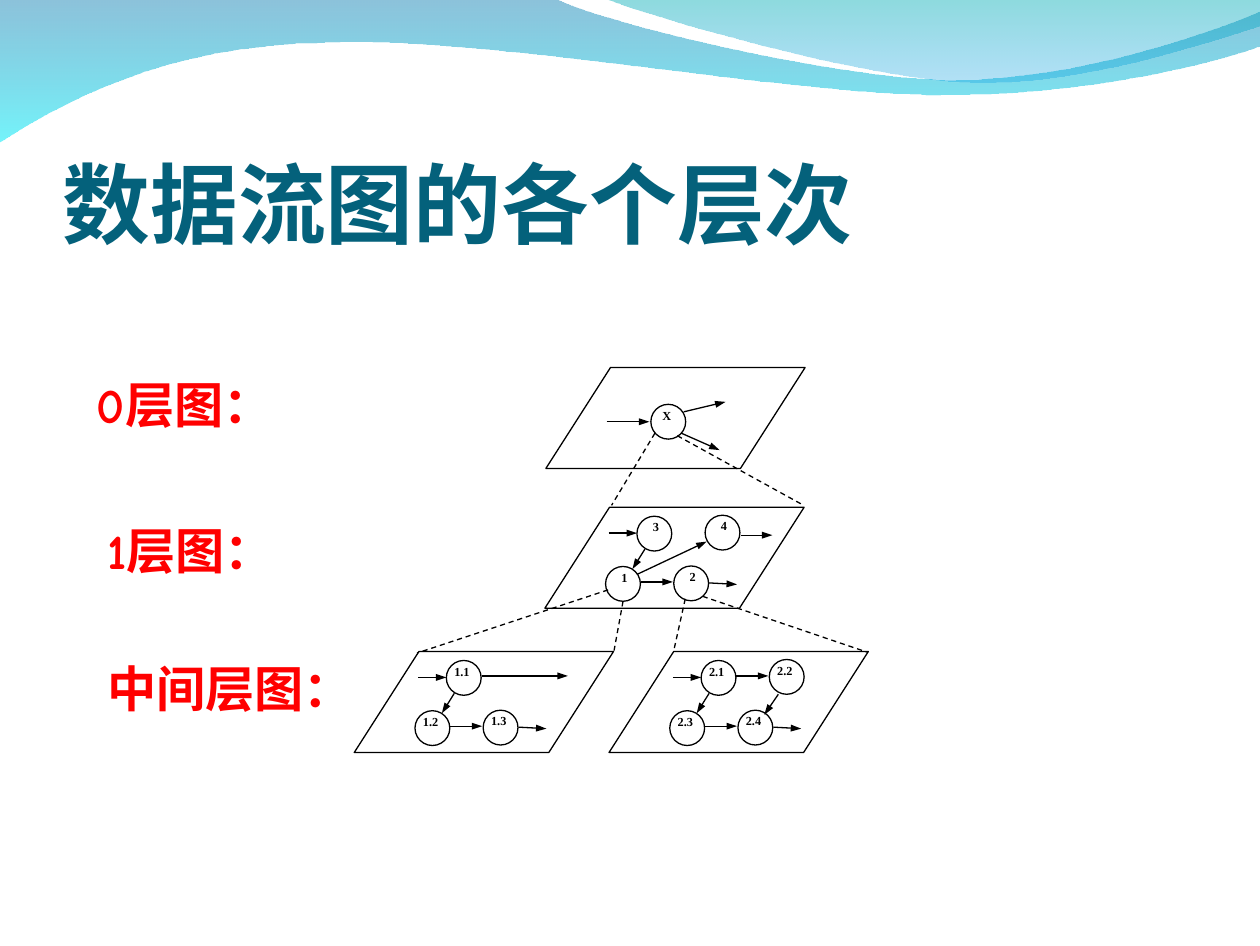
from lxml.etree import SubElement
from pptx import Presentation
from pptx.dml.color import RGBColor
from pptx.enum.dml import MSO_LINE
from pptx.enum.shapes import MSO_CONNECTOR, MSO_SHAPE
from pptx.enum.text import MSO_ANCHOR as Anchor, PP_ALIGN as Align
from pptx.oxml.ns import qn
from pptx.util import Cm, Pt

# All lengths are in centimetres.
SLIDE_SIZE = (25.32, 19.02)
CJK_FONT = "Noto Sans CJK SC"
TITLE = ("数据流图的各个层次", (1.26, 1.95, 22.81, 3.18))
LEVELS = [("0层图：", 1.7, 7.39), ("1层图：", 1.91, 10.34), ("中间层图：", 1.91, 13.11)]
LEVEL_SIZE = (5.72, 1.45)

# Each wave: outline (a 2-tuple is a corner, three pairs a Bézier curve), stops (colour, opacity %).
WAVES = [
    ([(0, 0), (11.15, -0.03),
      ((12.04, 0.43), (16.81, 1.6), (19.2, 1.6)),
      ((21.62, 1.6), (24.28, 0.66), (25.32, 0.23)),
      (25.35, 0.91),
      ((24.92, 1.12), (22.02, 1.93), (18.9, 1.91)),
      ((15.75, 1.91), (9.68, 0.71), (6.53, 0.86)),
      ((3.28, 0.89), (1.17, 2.11), (-0.03, 2.87)),
      (0, 0)],
     [("0079AF", 45), ("00EBF8", 55)]),
    ([(12.14, -0.03),
      ((12.9, 0.28), (17.27, 1.57), (19.48, 1.65)),
      ((21.67, 1.75), (24.36, 0.81), (25.32, 0.53)),
      (25.32, 0), (12.14, -0.03)],
     [("00ADB6", 45), ("009BE5", 30)]),
]

PANEL_SIZE = (5.21, 2.03)
PANEL_SLANT = 0.64
PROCESS_DIAMETER = 0.7
LABEL_SIZE = (0.94, 0.81)
# Offsets inside a panel: process x, y and how far left its label box starts
PROCESS_SLOTS = {
    "top left": (1.85, 0.18, 0.09), "top right": (3.22, 0.16, 0.09),
    "bottom left": (1.22, 1.19, 0.09), "bottom right": (2.59, 1.18, 0.09),
    "centre": (2.11, 0.74, 0.15),
}
FLOWS = {
    "in": (1.28, 0.52, 1.85, 0.52),
    "top link": (2.55, 0.49, 3.2, 0.49),
    "top long": (2.57, 0.49, 4.29, 0.49),
    "top out": (3.94, 0.56, 4.57, 0.56),
    "left down": (2.01, 0.84, 1.76, 1.24),
    "right down": (3.4, 0.86, 3.12, 1.27),
    "diagonal": (1.85, 1.35, 3.25, 0.69),
    "bottom link": (1.93, 1.5, 2.57, 1.5),
    "bottom out": (3.3, 1.52, 3.86, 1.55),
    "centre in": (1.22, 1.09, 2.08, 1.09),
    "centre up": (2.77, 0.89, 3.61, 0.69),
    "centre down": (2.72, 1.32, 3.49, 1.66),
}
COMMON_FLOWS = ["in", "left down", "bottom link", "bottom out"]
# Each panel: left, top, label alignment, processes by slot, flows
PANELS = [
    (12.24, 13.1, Align.JUSTIFY,
     {"bottom right": "2.4", "bottom left": "2.3", "top right": "2.2", "top left": "2.1"},
     COMMON_FLOWS + ["top link", "right down"]),
    (10.95, 10.2, Align.CENTER,
     {"bottom right": "2", "bottom left": "1", "top right": "4", "top left": "3"},
     COMMON_FLOWS + ["top out", "diagonal"]),
    (7.12, 13.1, Align.JUSTIFY,
     {"bottom right": "1.3", "bottom left": "1.2", "top left": "1.1"},
     COMMON_FLOWS + ["top long"]),
    (10.97, 7.39, Align.CENTER, {"centre": "X"},
     ["centre in", "centre up", "centre down"]),
]
EXPANSIONS = [
    (13.16, 8.71, 12.29, 10.16), (13.61, 8.76, 16.15, 10.16),
    (12.22, 11.86, 8.38, 13.13), (12.52, 12.09, 12.34, 13.08),
    (13.77, 12.04, 13.54, 13.08), (14.12, 11.99, 17.42, 13.11),
]


def color(value):
    return RGBColor.from_string(value)


def add_text(shapes, text, place, *, size, font, fill="000000", align=Align.LEFT,
             anchor=Anchor.TOP, insets=(0.25, 0.13, 0.25, 0.13)):
    box = shapes.add_textbox(*map(Cm, place))
    frame = box.text_frame
    frame.word_wrap = True
    frame.vertical_anchor = anchor
    (frame.margin_left, frame.margin_top,
     frame.margin_right, frame.margin_bottom) = map(Cm, insets)
    para = frame.paragraphs[0]
    para.alignment = align
    span = para.add_run()
    span.text = text
    span.font.size = Pt(size)
    span.font.bold = True
    span.font.name = font
    span.font.color.rgb = color(fill)
    SubElement(span.font._element, qn("a:ea"), typeface=CJK_FONT)


def add_curved_outline(shapes, outline):
    """Build a freeform through all points, then merge each triple into a Bézier curve."""
    start, *pieces = outline
    points = []
    for piece in pieces:
        points.extend([piece] if len(piece) == 2 else piece)
    builder = shapes.build_freeform(*map(Cm, start))
    builder.add_line_segments([(Cm(x), Cm(y)) for x, y in points])
    shape = builder.convert_to_shape()
    segments = iter(list(shape._element.iter(qn("a:lnTo"))))
    for piece in pieces:
        segment = next(segments)
        if len(piece) == 3:
            segment.tag = qn("a:cubicBezTo")
            for extra in (next(segments), next(segments)):
                segment.append(extra[0])
                extra.getparent().remove(extra)
    return shape


def add_wave(shapes, outline, stops):
    wave = add_curved_outline(shapes, outline)
    wave.shadow.inherit = False
    wave.line.fill.background()
    wave.fill.gradient()
    wave.fill.gradient_angle = 270
    for stop, (value, opacity) in zip(wave.fill.gradient_stops, stops):
        stop.color.rgb = color(value)
        tint = stop._gs.find(qn("a:srgbClr"))
        SubElement(tint, qn("a:alpha"), val=str(opacity * 1000))


def style_line(line):
    line.color.rgb = color("000000")
    line.width = Pt(0.75)


def add_outline(shapes, kind, place):
    shape = shapes.add_shape(kind, *map(Cm, place))
    shape.shadow.inherit = False
    shape.fill.background()
    style_line(shape.line)
    return shape


def add_line(shapes, ends, *, dashed=False):
    """Draw a dashed line, or a solid one with an arrowhead at its end."""
    link = shapes.add_connector(MSO_CONNECTOR.STRAIGHT, *map(Cm, ends))
    style_line(link.line)
    if dashed:
        link.line.dash_style = MSO_LINE.DASH
    else:
        SubElement(link.line._get_or_add_ln(), qn("a:tailEnd"), type="triangle", w="sm")
    SubElement(link._element.spPr, qn("a:effectLst"))


def add_panel(page, left, top, align, processes, flows):
    shapes = page.shapes.add_group_shape().shapes
    panel = add_outline(shapes, MSO_SHAPE.PARALLELOGRAM, (left, top, *PANEL_SIZE))
    panel.adjustments[0] = PANEL_SLANT
    for slot, name in processes.items():
        dx, dy, shift = PROCESS_SLOTS[slot]
        x, y = left + dx, top + dy
        add_text(shapes, name, (x - shift, y - 0.06, *LABEL_SIZE), size=7,
                 font="Times New Roman", align=align)
        add_outline(shapes, MSO_SHAPE.OVAL, (x, y, PROCESS_DIAMETER, PROCESS_DIAMETER))
    for flow in flows:
        x1, y1, x2, y2 = FLOWS[flow]
        add_line(shapes, (left + x1, top + y1, left + x2, top + y2))


def main():
    deck = Presentation()
    deck.slide_width, deck.slide_height = map(Cm, SLIDE_SIZE)
    page = deck.slides.add_slide(deck.slide_layouts[6])
    for wave in WAVES:
        add_wave(page.shapes, *wave)
    add_text(page.shapes, *TITLE, size=50, font=CJK_FONT, fill="04617B",
             anchor=Anchor.BOTTOM, insets=(0, 0.13, 0, 0))
    for panel in PANELS:
        add_panel(page, *panel)
    for ends in EXPANSIONS:
        add_line(page.shapes, ends, dashed=True)
    for text, left, top in LEVELS:
        add_text(page.shapes, text, (left, top, *LEVEL_SIZE), size=28,
                 font="Comic Neue", fill="FF0000")
    deck.save("out.pptx")


if __name__ == "__main__":
    main()
